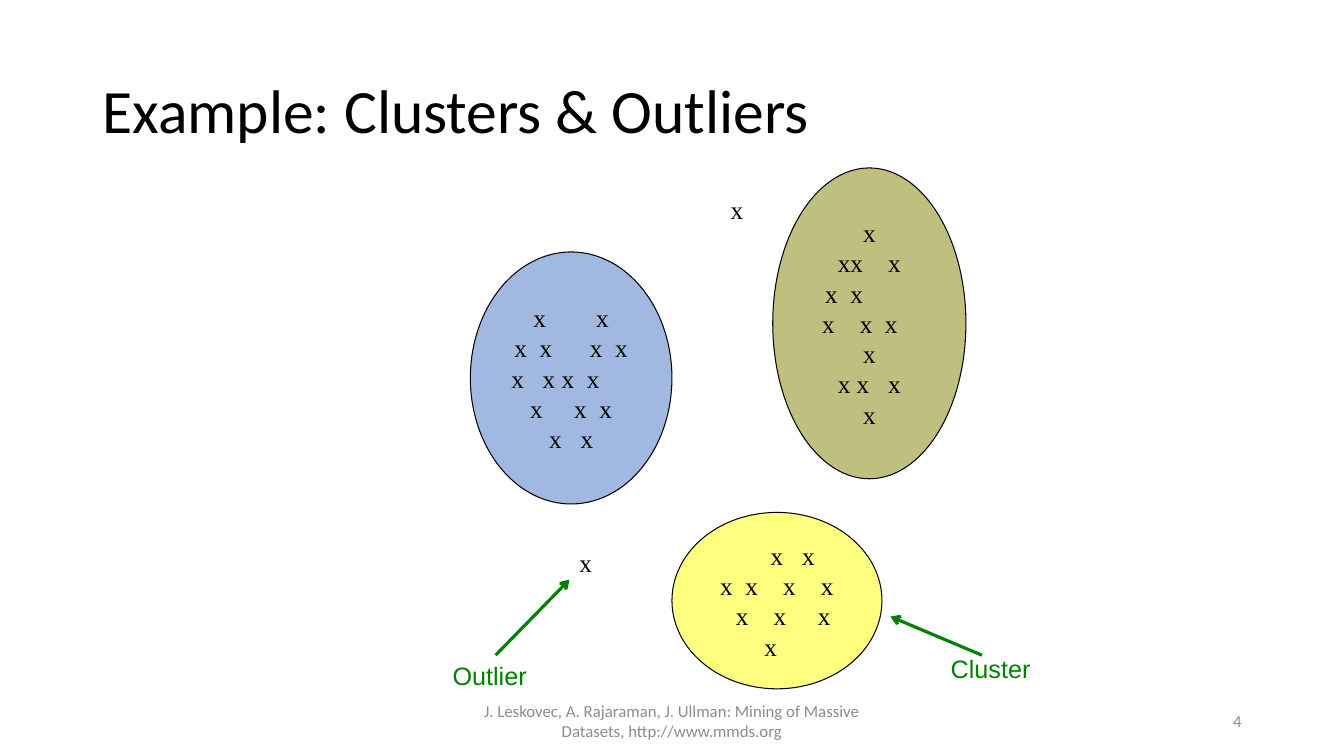
from lxml import etree
from pptx import Presentation
from pptx.dml.color import RGBColor
from pptx.enum.shapes import MSO_CONNECTOR, MSO_SHAPE
from pptx.enum.text import MSO_ANCHOR, PP_ALIGN
from pptx.oxml.ns import qn
from pptx.util import Inches, Pt

STRAIGHT, OVAL = MSO_CONNECTOR.STRAIGHT, MSO_SHAPE.OVAL
TOP, MIDDLE = MSO_ANCHOR.TOP, MSO_ANCHOR.MIDDLE
LEFT, CENTER, RIGHT = PP_ALIGN.LEFT, PP_ALIGN.CENTER, PP_ALIGN.RIGHT

BLACK = RGBColor(0x00, 0x00, 0x00)
GREY = RGBColor(0x8C, 0x8C, 0x8C)
GREEN = RGBColor(0x00, 0x80, 0x00)
BLUE = RGBColor(0x44, 0x72, 0xC4)
OLIVE = RGBColor(0x80, 0x80, 0x00)
YELLOW = RGBColor(0xFF, 0xFF, 0x00)

COLUMNS, ROWS = 160, 90
LABEL_HEIGHT = 4.8

# Fill, then column, row, width and height, then the points line by line
CLUSTERS = [
    (BLUE, (56, 30, 24, 30),
     ["x        x", "x  x      x  x", "x   x x  x     ", "x     x  x", "x   x"]),
    (OLIVE, (92, 20, 23, 37),
     ["x", "xx    x", "x  x        ", "x    x  x   ", "x", "x x   x", "x"]),
    (YELLOW, (80, 61, 25, 21),
     ["     x   x", "x  x    x    x", "  x    x     x", "x  "]),
]
OUTLIERS = [(85.8, 22.6), (67.8, 64.6)]


def grid(*cells):
    """Turn counts of grid cells, a twelfth of an inch each, into lengths."""
    return [Inches(cell / 12) for cell in cells]


def write(shape, text, font, size, color, align=LEFT, anchor=TOP, wrap=False):
    frame = shape.text_frame
    frame.text = text
    frame.word_wrap = wrap
    frame.vertical_anchor = anchor
    for para in frame.paragraphs:
        para.alignment = align
        for span in para.runs:
            span.font.name = font
            span.font.size = Pt(size)
            span.font.color.rgb = color


def add_title(page, text):
    title = page.shapes.title
    title.left, title.top, title.width, title.height = grid(11, 4.8, 138, 17.4)
    write(title, text, "Calibri", 44, BLACK, anchor=MIDDLE, wrap=True)
    title.text_frame.paragraphs[0].line_spacing = 0.9


def add_label(page, cells, text, font, size, color, **layout):
    box = page.shapes.add_textbox(*grid(*cells))
    write(box, text, font, size, color, **layout)


def add_cluster(page, fill, cells, lines):
    """Draw a half-transparent ellipse holding its points."""
    ellipse = page.shapes.add_shape(OVAL, *grid(*cells))
    ellipse.shadow.inherit = False
    ellipse.fill.solid()
    ellipse.fill.fore_color.rgb = fill
    fill_color = ellipse._element.spPr.find(qn("a:solidFill"))[0]
    etree.SubElement(fill_color, qn("a:alpha"), val="50000")
    ellipse.line.color.rgb = BLACK
    ellipse.line.width = Pt(0.75)
    write(ellipse, "\n".join(lines), "Times New Roman", 18, BLACK,
          align=CENTER, anchor=MIDDLE)


def add_arrow(page, start, end):
    arrow = page.shapes.add_connector(STRAIGHT, *grid(*start, *end))
    arrow.line.color.rgb = GREEN
    arrow.line.width = Pt(2.25)
    etree.SubElement(arrow.line._get_or_add_ln(), qn("a:tailEnd"), type="arrow")
    etree.SubElement(arrow._element.spPr, qn("a:effectLst"))


def add_callout(page, text, corner, width, start, end):
    """Name a thing in green and point an arrow at it."""
    add_arrow(page, start, end)
    add_label(page, (*corner, width, LABEL_HEIGHT), text, "Arial", 18, GREEN)


def add_footer(page, text, column, width, align):
    add_label(page, (column, 83.4, width, LABEL_HEIGHT), text, "Calibri", 12,
              GREY, align=align, anchor=MIDDLE, wrap=True)


def main():
    deck = Presentation()
    deck.slide_width, deck.slide_height = grid(COLUMNS, ROWS)
    page = deck.slides.add_slide(deck.slide_layouts.get_by_name("Title Only"))

    add_title(page, "Example: Clusters & Outliers")
    add_footer(page, "J. Leskovec, A. Rajaraman, J. Ullman: Mining of Massive "
               "Datasets, http://www.mmds.org", 53, 54, CENTER)
    add_footer(page, "4", 113, 36, RIGHT)
    for fill, cells, lines in CLUSTERS:
        add_cluster(page, fill, cells, lines)
    for corner in OUTLIERS:
        add_label(page, (*corner, 4, LABEL_HEIGHT), "x", "Times New Roman", 18, BLACK)
    add_callout(page, "Outlier", (52.7, 78), 11.4, (59, 78), (67.8, 69))
    add_callout(page, "Cluster", (112, 77.2), 12, (116.9, 78), (106, 73.4))

    deck.save("out.pptx")


if __name__ == "__main__":
    main()
